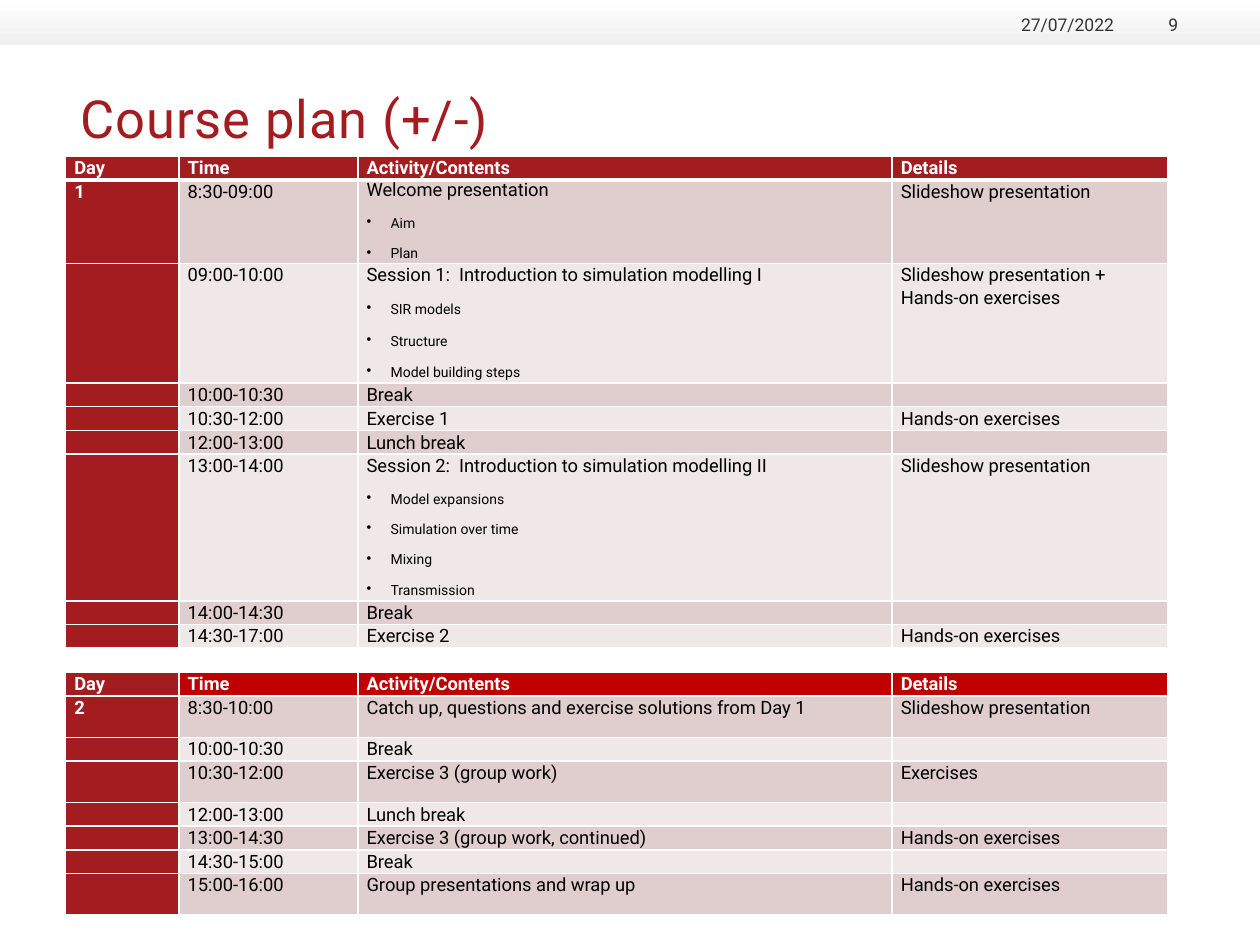
import pptx
import pptx.util
import pptx.dml.color
import pptx.enum.shapes
import pptx.enum.text
import pptx.oxml.ns
from lxml import etree

Inches, Pt = pptx.util.Inches, pptx.util.Pt
RGB = pptx.dml.color.RGBColor.from_string
ANCHOR, ALIGN = pptx.enum.text.MSO_ANCHOR, pptx.enum.text.PP_ALIGN
qn = pptx.oxml.ns.qn

THEME = {
    "font": "Roboto", "title_size": 30, "meta_size": 10, "body_size": 10.5, "bullet_size": 8,
    "red": "A31D20", "bright_red": "C00000", "white": "FFFFFF", "black": "000000",
    "meta": "333333", "band_end": "EEEFEE", "stripes": ("F0E8E8", "E0CDCD"),
}

TITLE = "Course plan (+/-)"
DATE, PAGE = "27/07/2022", "9"
HEADINGS = ("Day", "Time", "Activity/Contents", "Details")
SLIDES, HANDS_ON = "Slideshow presentation", "Hands-on exercises"

DAY_1 = [
    (0.53, "8:30-09:00", "Welcome presentation", SLIDES, ("Aim", "Plan")),
    (0.76, "09:00-10:00", "Session 1:  Introduction to simulation modelling I",
     f"{SLIDES} + {HANDS_ON}", ("SIR models", "Structure", "Model building steps")),
    (0.19, "10:00-10:30", "Break", "", ()),
    (0.19, "10:30-12:00", "Exercise 1", HANDS_ON, ()),
    (0.17, "12:00-13:00", "Lunch break", "", ()),
    (1.16, "13:00-14:00", "Session 2:  Introduction to simulation modelling II", SLIDES,
     ("Model expansions", "Simulation over time", "Mixing", "Transmission")),
    (0.17, "14:00-14:30", "Break", "", ()),
    (0.17, "14:30-17:00", "Exercise 2", HANDS_ON, ()),
]
DAY_2 = [
    (0.33, "8:30-10:00", "Catch up, questions and exercise solutions from Day 1", SLIDES, ()),
    (0.17, "10:00-10:30", "Break", "", ()),
    (0.33, "10:30-12:00", "Exercise 3 (group work)", "Exercises", ()),
    (0.17, "12:00-13:00", "Lunch break", "", ()),
    (0.17, "13:00-14:30", "Exercise 3 (group work, continued)", HANDS_ON, ()),
    (0.17, "14:30-15:00", "Break", "", ()),
    (0.33, "15:00-16:00", "Group presentations and wrap up", HANDS_ON, ()),
]
DAYS = [("1", 0.17, THEME["red"], 3, DAY_1), ("2", 0.19, THEME["bright_red"], 1, DAY_2)]
GAP_HEIGHT = 0.19
COLUMN_WIDTHS = (0.9, 1.42, 4.24, 2.19)
SINGLE_SPACED_LEADS = ("Welcome presentation",)
SINGLE_SPACED_BULLETS = ("8:30-09:00", "13:00-14:00")


def style(paragraph, size, color, bold=False):
    for run in paragraph.runs:
        run.font.name = THEME["font"]
        run.font.size = Pt(size)
        run.font.bold = bold
        run.font.color.rgb = RGB(color)


def add_label(slide, text, box, size, color, anchor=ANCHOR.TOP, align=ALIGN.LEFT):
    frame = slide.shapes.add_textbox(*map(Inches, box)).text_frame
    frame.word_wrap = True
    frame.margin_left = frame.margin_right = frame.margin_top = frame.margin_bottom = 0
    frame.vertical_anchor = anchor
    frame.text = text
    frame.paragraphs[0].alignment = align
    style(frame.paragraphs[0], size, color)
    return frame.paragraphs[0]


def set_borders(cell, top, bottom):
    properties = cell._tc.get_or_add_tcPr()
    for index, (edge, width) in enumerate((("lnL", 1), ("lnR", 1), ("lnT", top), ("lnB", bottom))):
        line = etree.Element(qn(f"a:{edge}"), w=str(Pt(width)))
        fill = etree.SubElement(line, qn("a:solidFill"))
        etree.SubElement(fill, qn("a:srgbClr"), val=THEME["white"])
        properties.insert(index, line)


def fill_cell(cell, text, fill, color, bold, top, bottom, bullets=(), bullet_spacing=1.07):
    cell.margin_left = cell.margin_right = Inches(0.07)
    cell.margin_top = cell.margin_bottom = 0
    cell.fill.solid()
    cell.fill.fore_color.rgb = RGB(fill)
    set_borders(cell, top, bottom)
    lead = cell.text_frame.paragraphs[0]
    if not text:
        etree.SubElement(lead._p, qn("a:endParaRPr"), sz=str(int(THEME["body_size"] * 100)))
        return
    lead.text = text
    lead.line_spacing = 1.0 if text in SINGLE_SPACED_LEADS else 1.07
    lead.space_after = Pt(8)
    style(lead, THEME["body_size"], color, bold)
    for bullet in bullets:
        item = cell.text_frame.add_paragraph()
        item.text = bullet
        item.line_spacing = bullet_spacing
        item.space_after = Pt(8)
        properties = item._p.get_or_add_pPr()
        properties.set("marL", str(Inches(0.19)))
        properties.set("indent", str(-Inches(0.19)))
        etree.SubElement(properties, qn("a:buChar"), char="•")
        style(item, THEME["bullet_size"], color)


def schedule_rows():
    red, white, black = THEME["red"], THEME["white"], THEME["black"]
    for number, (day, heading_height, heading_fill, rule, sessions) in enumerate(DAYS):
        if number:
            yield GAP_HEIGHT, [("", white, black, False, 1, 1)] * len(HEADINGS)
        yield heading_height, [
            (heading, heading_fill if column else red, white, True, 1, rule)
            for column, heading in enumerate(HEADINGS)]
        for index, (height, time, activity, details, bullets) in enumerate(sessions):
            stripe = THEME["stripes"][(index + 1) % 2]
            edges = (1 if index else rule, 1)
            spacing = 1.0 if time in SINGLE_SPACED_BULLETS else 1.07
            yield height, [
                ("" if index else day, red, white, True, *edges),
                (time, stripe, black, False, *edges),
                (activity, stripe, black, False, *edges, bullets, spacing),
                (details, stripe, black, False, *edges)]


def main():
    deck = pptx.Presentation()
    deck.slide_width, deck.slide_height = Inches(10), Inches(7.5)
    slide = deck.slides.add_slide(deck.slide_layouts[6])

    band = slide.shapes.add_shape(
        pptx.enum.shapes.MSO_SHAPE.RECTANGLE, 0, 0, deck.slide_width, Inches(0.36))
    band.shadow.inherit = False
    band.line.fill.background()
    band.fill.gradient()
    band.fill.gradient_angle = 270
    for stop, color in zip(band.fill.gradient_stops, (THEME["white"], THEME["band_end"])):
        stop.color.rgb = RGB(color)

    title = add_label(slide, TITLE, (0.64, 0.68, 8.71, 0.95), THEME["title_size"], THEME["red"])
    title.runs[0].font._element.set("spc", "50")
    for text, left, width in ((DATE, 7.95, 0.89), (PAGE, 8.94, 0.41)):
        add_label(slide, text, (left, 0.09, width, 0.19), THEME["meta_size"], THEME["meta"],
                  ANCHOR.BOTTOM, ALIGN.RIGHT)

    rows = list(schedule_rows())
    schedule = slide.shapes.add_table(
        len(rows), len(HEADINGS), Inches(0.52), Inches(1.24),
        Inches(sum(COLUMN_WIDTHS)), Inches(sum(height for height, _ in rows))).table
    schedule.first_row = schedule.horz_banding = False
    for column, width in zip(schedule.columns, COLUMN_WIDTHS):
        column.width = Inches(width)
    for row, (height, contents) in zip(schedule.rows, rows):
        row.height = Inches(height)
        for cell, content in zip(row.cells, contents):
            fill_cell(cell, *content)

    deck.save("out.pptx")


if __name__ == "__main__":
    main()
